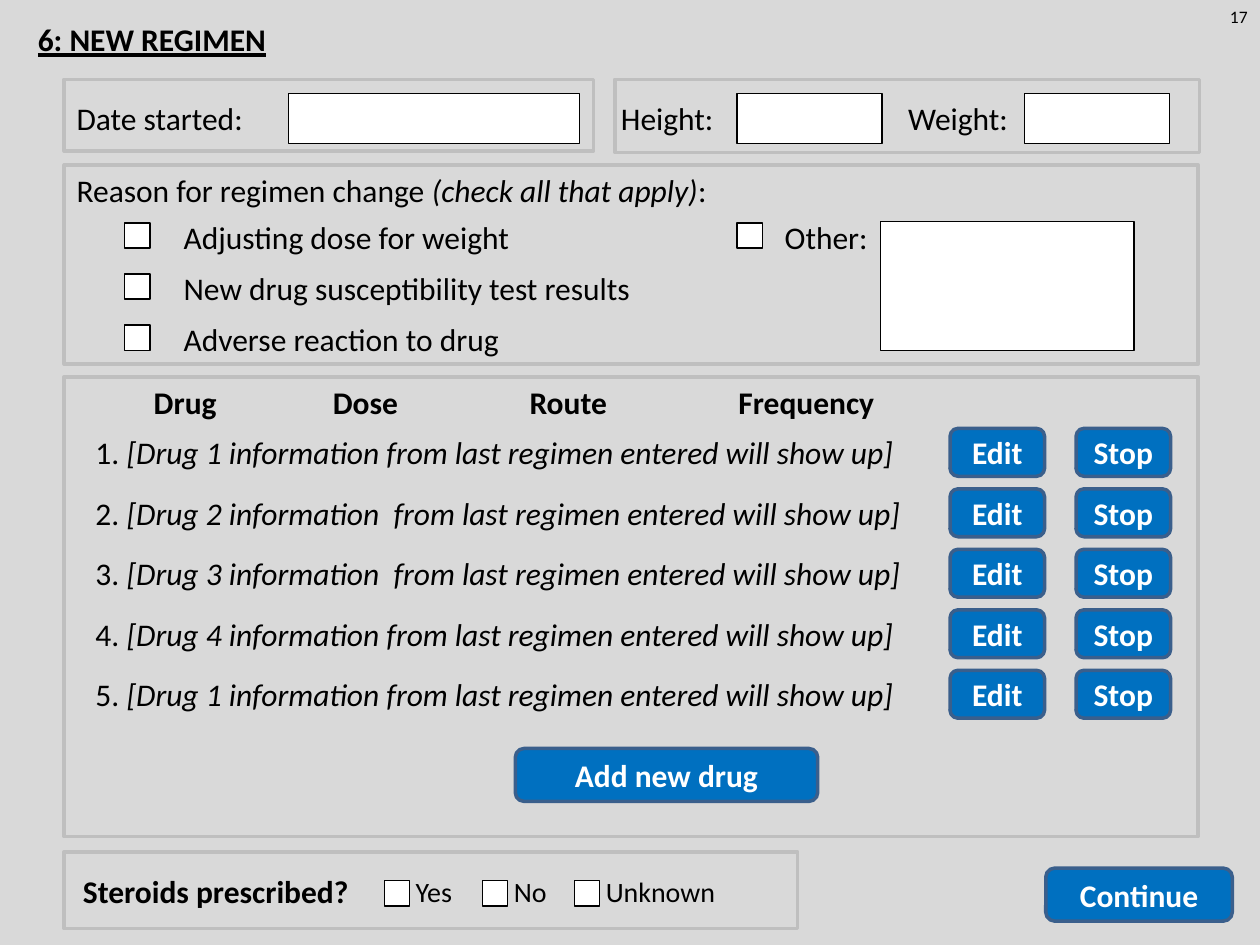
from pptx import Presentation
from pptx.dml.color import RGBColor
from pptx.enum.shapes import MSO_SHAPE
from pptx.enum.text import MSO_ANCHOR, PP_ALIGN
from pptx.util import Inches, Pt

COLORS = {"background": "D9D9D9", "panel": "BFBFBF", "black": "000000",
          "white": "FFFFFF", "button": "0070C0", "button_line": "3A5F8C"}
FONT = "Calibri"

# Content: positions are left, top, width, height in inches
TITLE = "6: NEW REGIMEN"
PAGE_NUMBER = "17"
PANELS = [(0.51, 0.63, 4.2, 0.57), (4.88, 0.63, 4.64, 0.58), (0.51, 1.31, 9, 1.58),
          (0.51, 2.99, 9, 3.65), (0.51, 6.76, 5.82, 0.61)]
FIELDS = [  # label, label left, label width, box left, box width
    ("Date started:", 0.51, 1.7, 2.29, 2.31),
    ("Height:", 4.83, 1, 5.85, 1.15),
    ("Weight:", 7.11, 1, 8.13, 1.15),
]
REASON_HEADING = [("Reason for regimen change ", False),
                  ("(check all that apply)", True), (":", False)]
REASONS = ["Adjusting dose for weight", "New drug susceptibility test results",
           "Adverse reaction to drug"]
COLUMNS = [("Drug", 0.75), ("Dose", 2.18), ("Route", 3.79), ("Frequency", 5.68)]
DRUGS = [
    "[Drug 1 information from last regimen entered will show up]",
    "[Drug 2 information  from last regimen entered will show up]",
    "[Drug 3 information  from last regimen entered will show up]",
    "[Drug 4 information from last regimen entered will show up]",
    "[Drug 1 information from last regimen entered will show up]",
]
ROW_BUTTONS = [("Edit", 7.54), ("Stop", 8.54)]
STEROID_QUESTION = "Steroids prescribed?"
STEROID_ANSWERS = [("Yes", 3.05), ("No", 3.83), ("Unknown", 4.56)]
BUTTONS = [("Add new drug", 4.09, 5.94, 2.4, 0.42), ("Continue", 8.3, 6.89, 1.48, 0.42)]


def color(name):
    return RGBColor.from_string(COLORS[name])


def write(shape, runs, size=18, bold=False, align=PP_ALIGN.LEFT, text_color="black"):
    """Fill a shape with one paragraph of (text, italic) runs or a plain string."""
    paragraph = shape.text_frame.paragraphs[0]
    for text, italic in [(runs, False)] if isinstance(runs, str) else runs:
        run = paragraph.add_run()
        run.text = text
        if italic:
            run.font.italic = True
    paragraph.alignment = align
    font = paragraph.font
    font.name, font.size, font.bold = FONT, Pt(size), bold
    font.color.rgb = color(text_color)
    return paragraph


def add_text(runs, left, top, width, height=0.4, **style):
    box = slide.shapes.add_textbox(*map(Inches, (left, top, width, height)))
    box.text_frame.word_wrap = True
    write(box, runs, **style)


def add_box(left, top, width, height, fill="white", line="black", line_width=0.75,
            preset=MSO_SHAPE.RECTANGLE):
    shape = slide.shapes.add_shape(preset, *map(Inches, (left, top, width, height)))
    shape.shadow.inherit = False
    if fill:
        shape.fill.solid()
        shape.fill.fore_color.rgb = color(fill)
    else:
        shape.fill.background()
    shape.line.color.rgb = color(line)
    shape.line.width = Pt(line_width)
    return shape


def add_checkbox(left, top):
    add_box(left, top, 0.2, 0.2)


def add_button(label, left, top, width=0.75, height=0.38):
    button = add_box(left, top, width, height, "button", "button_line", 2,
                     MSO_SHAPE.ROUNDED_RECTANGLE)
    frame = button.text_frame
    frame.margin_top = frame.margin_bottom = 0
    frame.vertical_anchor = MSO_ANCHOR.MIDDLE
    write(button, label, bold=True, align=PP_ALIGN.CENTER, text_color="white")


presentation = Presentation()
presentation.slide_width, presentation.slide_height = Inches(10), Inches(7.5)
slide = presentation.slides.add_slide(presentation.slide_layouts[5])
slide.background.fill.solid()
slide.background.fill.fore_color.rgb = color("background")

# Title and page number
title = slide.shapes.title
title.left, title.top, title.width, title.height = map(Inches, (0.2, 0.11, 5.27, 0.4))
title.text_frame.vertical_anchor = MSO_ANCHOR.TOP
write(title, TITLE, bold=True).font.underline = True
add_text(PAGE_NUMBER, 9.5, 0, 0.5, 0.27, size=10, align=PP_ALIGN.RIGHT)

# Panels
for panel in PANELS:
    add_box(*panel, fill=None, line="panel", line_width=2)

# Date, height and weight
for label, label_left, label_width, box_left, box_width in FIELDS:
    add_text(label, label_left, 0.74, label_width)
    add_box(box_left, 0.74, box_width, 0.4)

# Reasons for the change
add_text(REASON_HEADING, 0.51, 1.31, 6.87)
for row, reason in enumerate(REASONS):
    top = 1.68 + 0.405 * row
    add_checkbox(0.99, top + 0.09)
    add_text(reason, 1.36, top, 3.86)
add_checkbox(5.85, 1.77)
add_text("Other:", 6.13, 1.68, 0.87)
add_box(6.99, 1.76, 2.01, 1.02)

# Drug list
for heading, left in COLUMNS:
    add_text(heading, left, 2.99, 1.44, bold=True, align=PP_ALIGN.CENTER)
for row, drug in enumerate(DRUGS):
    top = 3.4 + 0.48 * row
    add_text([(f"{row + 1}. ", False), (drug, True)], 0.66, top - 0.01, 6.8)
    for label, left in ROW_BUTTONS:
        add_button(label, left, top)

# Steroids
add_text(STEROID_QUESTION, 0.56, 6.87, 2.4, bold=True)
for answer, left in STEROID_ANSWERS:
    add_checkbox(left, 6.99)
    add_text(answer, left + 0.15, 6.89, 1.16, 0.37, size=16)

# Large buttons
for button in BUTTONS:
    add_button(*button)

presentation.save("out.pptx")
